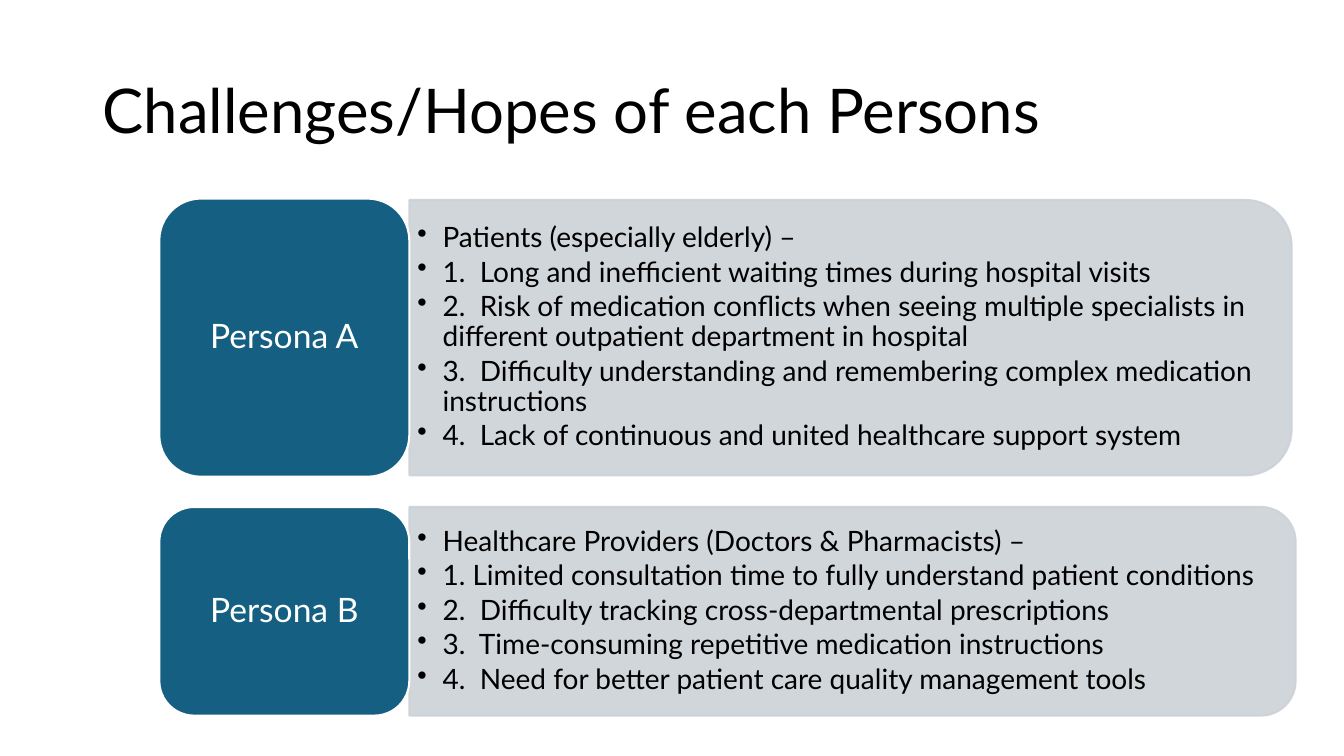
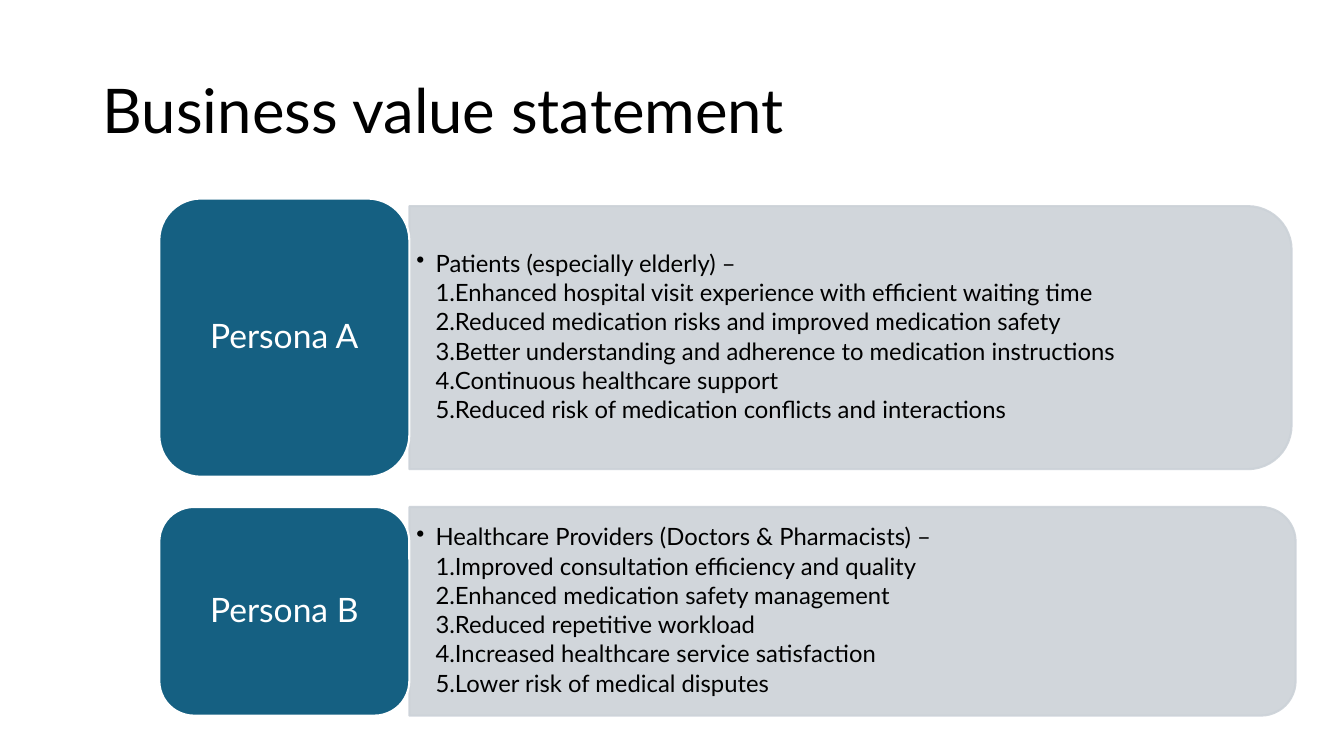
"""Build two slides that compare the personas' challenges and business value."""
from lxml import etree
from pptx import Presentation, util as u
from pptx.dml.color import RGBColor
from pptx.enum import shapes, text
from pptx.oxml.ns import qn

PX = 9144
THEME = {
    "font": "Lato", "ink": "000000", "paper": "FFFFFF", "card": "156082", "panel": "CCD2D8",
    "title": 44, "label": 24, "edge": 1.5, "alpha": 90000, "lead": 0.9, "after": 0.15,
}
SIZE = (1333, 750)
TITLE = (92, 40, 1150, 145)
LEFT, CARD = 158, 248
ROWS = [
    {"name": "Persona A", "top": 197, "high": 276, "wide": 875, "trim": 14},
    {"name": "Persona B", "top": 503, "high": 207, "wide": 879, "trim": 10},
]
DOT = ("a:buChar", {"char": "•"})
NUM = ("a:buAutoNum", {"type": "arabicPeriod"})
SLIDES = [
    {
        "title": "Challenges/Hopes of each Persons",
        "size": 20, "hang": 25, "pad": 8, "mark": DOT, "step": 0, "panels": (273, 207),
        "lists": [
            ["Patients (especially elderly) –",
             "1.  Long and inefficient waiting times during hospital visits",
             "2.  Risk of medication conflicts when seeing multiple specialists in different "
             "outpatient department in hospital",
             "3.  Difficulty understanding and remembering complex medication instructions",
             "4.  Lack of continuous and united healthcare support system"],
            ["Healthcare Providers (Doctors & Pharmacists) –",
             "1. Limited consultation time to fully understand patient conditions",
             "2.  Difficulty tracking cross-departmental prescriptions",
             "3.  Time-consuming repetitive medication instructions",
             "4.  Need for better patient care quality management tools"],
        ],
    },
    {
        "title": "Business value statement",
        "size": 17, "hang": 19, "pad": 7, "mark": NUM, "step": 1, "panels": (261, 207),
        "lists": [
            ["Patients (especially elderly) –",
             "Enhanced hospital visit experience with efficient waiting time",
             "Reduced medication risks and improved medication safety",
             "Better understanding and adherence to medication instructions",
             "Continuous healthcare support",
             "Reduced risk of medication conflicts and interactions"],
            ["Healthcare Providers (Doctors & Pharmacists) –",
             "Improved consultation efficiency and quality",
             "Enhanced medication safety management",
             "Reduced repetitive workload",
             "Increased healthcare service satisfaction",
             "Lower risk of medical disputes"],
        ],
    },
]


def px(*vals):
    return [round(v * PX) for v in vals]


def apply(obj, **vals):
    for key, val in vals.items():
        setattr(obj, key, val)


def rgb(name):
    return RGBColor.from_string(THEME[name])


def write(frame, lines, size, ink="ink", align=text.PP_ALIGN.LEFT, after=0):
    apply(frame, word_wrap=True, vertical_anchor=text.MSO_ANCHOR.MIDDLE)
    for i, line in enumerate(lines):
        para = frame.add_paragraph() if i else frame.paragraphs[0]
        apply(para, alignment=align, line_spacing=THEME["lead"],
              space_after=u.Pt(size * after))
        run = para.add_run()
        run.text = line
        apply(run.font, name=THEME["font"], size=u.Pt(size))
        run.font.color.rgb = rgb(ink)
    return frame.paragraphs


def block(slide, kind, box, fill, line):
    shape = slide.shapes.add_shape(kind, *px(*box))
    shape.shadow.inherit = False
    shape.fill.solid()
    shape.fill.fore_color.rgb = rgb(fill)
    shape.line.color.rgb = rgb(line)
    shape.line.width = u.Pt(THEME["edge"])
    return shape


def panel(slide, left, mid, wide, high):
    box = (left + (wide - high) / 2, mid - wide / 2, high, wide)
    shape = block(slide, shapes.MSO_SHAPE.ROUND_2_SAME_RECTANGLE, box, "panel", "panel")
    shape.rotation = 90
    for tint in shape._element.spPr.iter(qn("a:srgbClr")):
        etree.SubElement(tint, qn("a:alpha"), val=str(THEME["alpha"]))


def bullets(slide, box, lines, page):
    frame = slide.shapes.add_textbox(*px(*box)).text_frame
    side, edge = px(page["pad"], 4)
    apply(frame, margin_left=side, margin_right=side, margin_top=edge, margin_bottom=edge)
    paras = write(frame, lines, page["size"], after=THEME["after"])
    hang = px(page["hang"])[0]
    for i, para in enumerate(paras):
        props = para._p.get_or_add_pPr()
        level = 1 + (page["step"] if i else 0)
        for key, val in {"marL": hang * level, "indent": -hang, "lvl": level}.items():
            props.set(key, str(val))
        tag, attrs = page["mark"] if i else DOT
        etree.SubElement(props, qn(tag), attrs)


def persona(slide, row, lines, high, page):
    mid, left = row["top"] + row["high"] / 2, LEFT + CARD
    panel(slide, left, mid, row["wide"], high)
    tall = high - 20
    bullets(slide, (left, mid - tall / 2, row["wide"] - row["trim"], tall), lines, page)
    box = (LEFT, row["top"], CARD, row["high"])
    card = block(slide, shapes.MSO_SHAPE.ROUNDED_RECTANGLE, box, "card", "paper")
    write(card.text_frame, [row["name"]], THEME["label"], "paper", text.PP_ALIGN.CENTER)


def main():
    deck = Presentation()
    wide, high = px(*SIZE)
    apply(deck, slide_width=wide, slide_height=high)
    for page in SLIDES:
        slide = deck.slides.add_slide(deck.slide_layouts[6])
        head = slide.shapes.add_textbox(*px(*TITLE))
        write(head.text_frame, [page["title"]], THEME["title"])
        for row, lines, tall in zip(ROWS, page["lists"], page["panels"]):
            persona(slide, row, lines, tall, page)
    deck.save("out.pptx")


if __name__ == "__main__":
    main()
